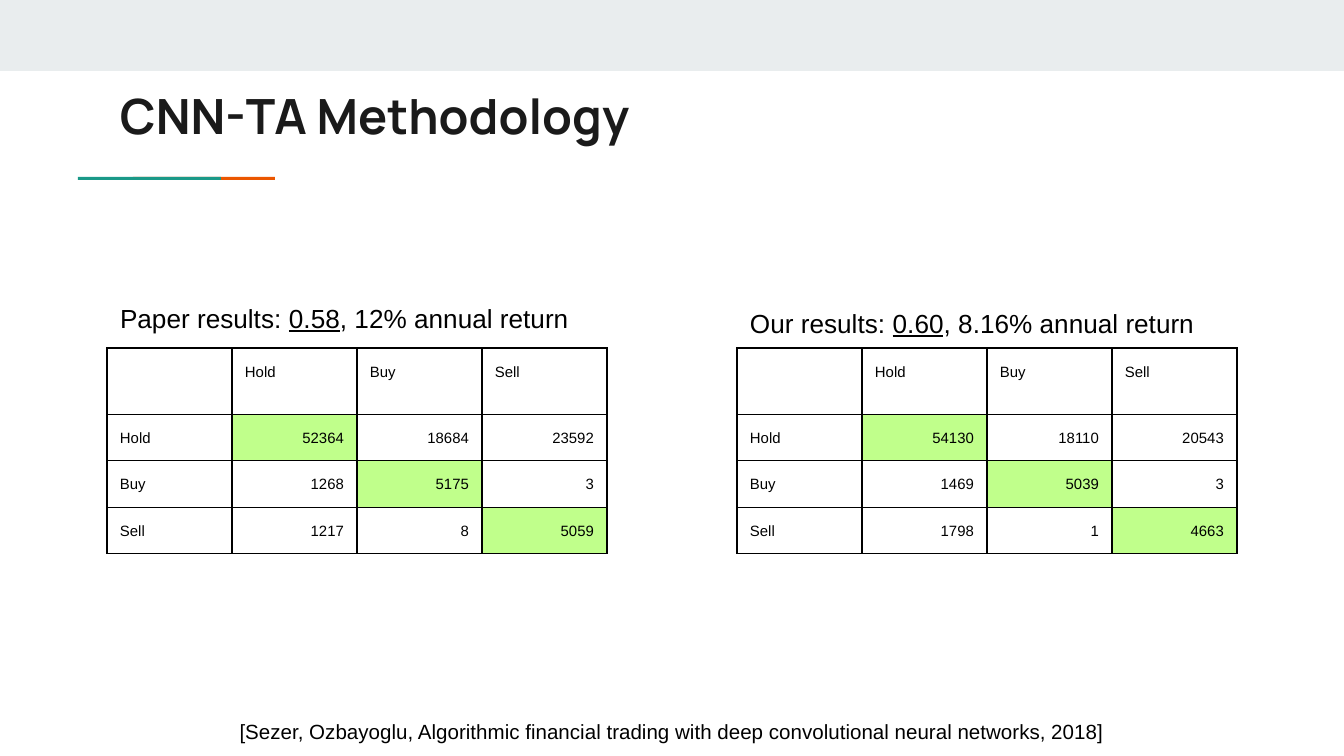
from lxml import etree
from pptx import Presentation
from pptx.dml.color import RGBColor
from pptx.enum.shapes import MSO_SHAPE
from pptx.enum.text import MSO_ANCHOR, PP_ALIGN
from pptx.oxml import parse_xml
from pptx.util import Pt

RECT = MSO_SHAPE.RECTANGLE
TOP = MSO_ANCHOR.TOP
LEFT, MID, RIGHT = PP_ALIGN.LEFT, PP_ALIGN.CENTER, PP_ALIGN.RIGHT
BLACK = RGBColor(0x00, 0x00, 0x00)
INK = RGBColor(0x1A, 0x1A, 0x1A)
BAND = RGBColor(0xE9, 0xED, 0xEE)
RUST = RGBColor(0xEB, 0x56, 0x00)
TEAL = RGBColor(0x1A, 0x99, 0x88)
LIME = RGBColor(0xC0, 0xFF, 0x8B)
NS = "http://schemas.openxmlformats.org/drawingml/2006/main"

TITLE = "CNN-TA Methodology"
CITE = ("[Sezer, Ozbayoglu, Algorithmic ﬁnancial trading with deep "
        "convolutional neural networks, 2018]")
LABELS = ["Hold", "Buy", "Sell"]
BARS = [
    (0, 0, 1344, 71, BAND),
    (133, 177, 142, 3, RUST),
    (78, 177, 143, 3, TEAL),
]
RESULTS = [
    (107, 289, ["Paper results: ", "0.58", ", 12% annual return"],
     [[52364, 18684, 23592], [1268, 5175, 3], [1217, 8, 5059]]),
    (737, 294, ["Our results: ", "0.60", ", 8.16% annual return"],
     [[54130, 18110, 20543], [1469, 5039, 3], [1798, 1, 4663]]),
]
GRID_Y, COL_W = 348, 125
ROWS = [65, 46, 46, 46]
INSET = 13


def px(n):
    return round(n * 914400 / 134.4)


def style(run, size, font="Arial", color=BLACK):
    run.font.size = Pt(size)
    run.font.name = font
    run.font.color.rgb = color


def pad(item):
    item.margin_left = item.margin_right = px(INSET)
    item.margin_top = item.margin_bottom = px(INSET)


def add_text(x, y, w, h, parts, size, font="Arial", color=BLACK, align=LEFT):
    frame = slide.shapes.add_textbox(px(x), px(y), px(w), px(h)).text_frame
    frame.word_wrap = True
    frame.vertical_anchor = TOP
    pad(frame)
    para = frame.paragraphs[0]
    para.alignment = align
    for part in parts:
        run = para.add_run()
        run.text = part
        style(run, size, font, color)
    return para.runs


def add_edges(cell):
    props = cell._tc.get_or_add_tcPr()
    for i, side in enumerate(["lnL", "lnR", "lnT", "lnB"]):
        edge = parse_xml(f'<a:{side} xmlns:a="{NS}" w="{Pt(0.75)}"/>')
        fill = etree.SubElement(edge, f"{{{NS}}}solidFill")
        etree.SubElement(fill, f"{{{NS}}}srgbClr", val=str(BLACK))
        props.insert(i, edge)


def add_grid(x, data):
    cells = [[""] + LABELS] + [[name] + row for name, row in zip(LABELS, data)]
    size = len(cells)
    table = slide.shapes.add_table(size, size, px(x), px(GRID_Y),
                                   px(COL_W * size), px(sum(ROWS))).table
    table.first_row = table.horz_banding = False
    for col in table.columns:
        col.width = px(COL_W)
    for r, row in enumerate(cells):
        table.rows[r].height = px(ROWS[r])
        for c, value in enumerate(row):
            cell = table.cell(r, c)
            pad(cell)
            if r == c and r > 0:
                cell.fill.solid()
                cell.fill.fore_color.rgb = LIME
            else:
                cell.fill.background()
            add_edges(cell)
            if value == "":
                continue
            para = cell.text_frame.paragraphs[0]
            para.text = str(value)
            para.line_spacing = 1.15
            para.alignment = RIGHT if r and c else LEFT
            style(para.runs[0], 8)


deck = Presentation()
deck.slide_width, deck.slide_height = px(1344), px(756)
slide = deck.slides.add_slide(deck.slide_layouts[6])

for x, y, w, h, color in BARS:
    bar = slide.shapes.add_shape(RECT, px(x), px(y), px(w), px(h))
    bar.shadow.inherit = False
    bar.fill.solid()
    bar.fill.fore_color.rgb = color
    bar.line.fill.background()

title = add_text(107, 73, 1130, 79, [TITLE], 26, "Manrope", INK)
title[0].font.bold = True

for x, y, parts, data in RESULTS:
    runs = add_text(x, y, 500, 54, parts, 14)
    runs[1].font.underline = True
    add_grid(x, data)

add_text(107, 707, 1130, 49, [CITE], 11, align=MID)
deck.save("out.pptx")
